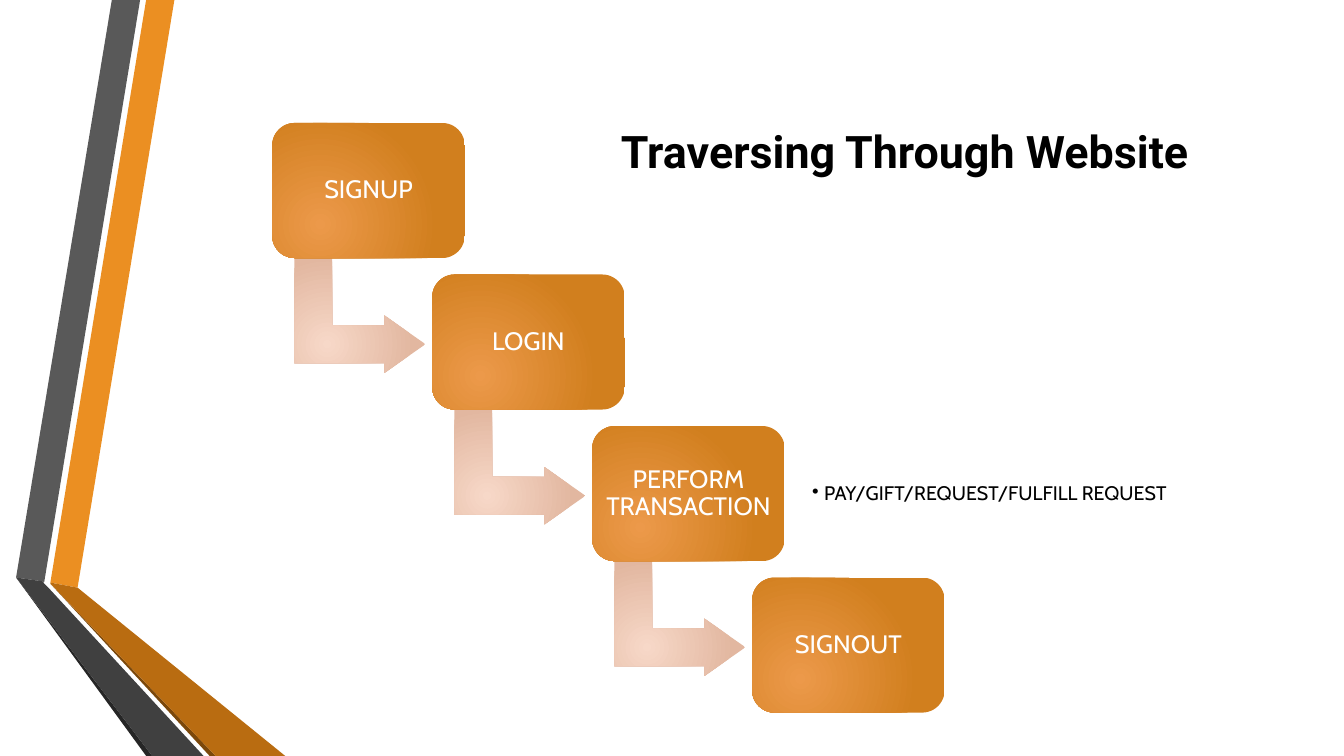
from lxml.etree import SubElement
from pptx import Presentation
from pptx.dml.color import RGBColor
from pptx.enum.shapes import MSO_SHAPE
from pptx.enum.text import MSO_ANCHOR, MSO_AUTO_SIZE, PP_ALIGN
from pptx.oxml.ns import qn
from pptx.util import Inches, Pt

ORANGE = RGBColor(0xEB, 0x8F, 0x22)
ORANGE_DARK = RGBColor(0xB9, 0x6C, 0x11)
BROWN = RGBColor(0x7B, 0x48, 0x0B)
GREY = RGBColor(0x59, 0x59, 0x59)
GREY_DARK = RGBColor(0x40, 0x40, 0x40)
CHARCOAL = RGBColor(0x26, 0x26, 0x26)
BLACK = RGBColor(0, 0, 0)
WHITE = RGBColor(0xFF, 0xFF, 0xFF)
STEP_GRADIENT = RGBColor(0xEC, 0x99, 0x4A), RGBColor(0xD1, 0x7F, 0x1E)
ARROW_GRADIENT = RGBColor(0xF7, 0xD8, 0xC8), RGBColor(0xE2, 0xB7, 0xA0)

STEPS = ["SIGNUP", "LOGIN", "PERFORM TRANSACTION", "SIGNOUT"]
NOTES = {2: "PAY/GIFT/REQUEST/FULFILL REQUEST"}

# Ribbon outlines, in inches from the corner of their region
RIBBONS = [
    (ORANGE, [(0.5, 5.78), (0.77, 5.83), (1.73, 0), (1.45, 0)]),
    (GREY, [(1.39, 0), (1.11, 0), (0.16, 5.73), (0.44, 5.77)]),
    (CHARCOAL, [(0.16, 5.73), (1.45, 7.5), (1.51, 7.5)]),
    (BROWN, [(0.5, 5.79), (2.08, 7.5), (2.14, 7.5)]),
    (ORANGE_DARK, [(0.5, 5.79), (2.14, 7.5), (2.83, 7.5), (0.77, 5.83), (0.5, 5.78)]),
    (GREY_DARK, [(2.02, 7.5), (0.48, 5.83), (0.43, 5.78), (0.44, 5.77),
                 (0.16, 5.73), (1.51, 7.5)]),
]


def clean(sp):
    sp.shadow.inherit = False
    sp.line.fill.background()


def fill_radial(sp, colors):
    """Fill with a circular gradient centred at the lower left."""
    clean(sp)
    sp.fill.gradient()
    for stop, color, position in zip(sp.fill.gradient_stops, colors, (0, 1)):
        stop.color.rgb = color
        stop.position = position
    grad = sp._element.spPr.find(qn("a:gradFill"))
    grad.set("rotWithShape", "0")
    grad.remove(grad.find(qn("a:lin")))
    circle = SubElement(grad, qn("a:path"), path="circle")
    SubElement(circle, qn("a:fillToRect"), l="50000", t="100000", r="100000", b="50000")


def write(sp, text, size, color, font="Cabin", inset=0.07):
    tf = sp.text_frame
    tf.word_wrap = True
    tf.vertical_anchor = MSO_ANCHOR.MIDDLE
    tf.margin_left = tf.margin_right = tf.margin_top = tf.margin_bottom = Inches(inset)
    tf.text = text
    p = tf.paragraphs[0]
    p.line_spacing = 0.9
    f = p.runs[0].font
    f.size, f.name, f.color.rgb = Pt(size), font, color
    return p


def draw_ribbons(s, left, top):
    for color, points in RIBBONS:
        corners = [(Inches(left + x), Inches(top + y)) for x, y in points]
        builder = s.shapes.build_freeform(*corners[0])
        builder.add_line_segments(corners[1:], close=True)
        sp = builder.convert_to_shape()
        clean(sp)
        sp.fill.solid()
        sp.fill.fore_color.rgb = color


def draw_arrow(s, x, y):
    sp = s.shapes.add_shape(MSO_SHAPE.BENT_UP_ARROW, Inches(x), Inches(y),
                            Inches(1.14), Inches(1.3))
    sp.rotation = 90
    for i, value in enumerate((0.328, 0.25, 0.358)):
        sp.adjustments[i] = value
    fill_radial(sp, ARROW_GRADIENT)


def draw_note(s, x, y, text):
    sp = s.shapes.add_textbox(Inches(x), Inches(y), Inches(3.79), Inches(1.08))
    pPr = write(sp, text, 14, BLACK)._p.get_or_add_pPr()
    pPr.set("marL", str(Inches(0.12)))
    pPr.set("indent", str(Inches(-0.12)))
    SubElement(pPr, qn("a:buChar"), char="•")


def draw_flow(s, left, top, width, height):
    """Staircase of steps running from corner to corner of the box."""
    step_w, step_h = 1.91, 1.34
    dx = (width - step_w) / (len(STEPS) - 1)
    dy = (height - step_h) / (len(STEPS) - 1)
    for i, label in enumerate(STEPS):
        x, y = left + i * dx, top + i * dy
        if i < len(STEPS) - 1:
            draw_arrow(s, x + 0.3, y + 1.26)
        sp = s.shapes.add_shape(MSO_SHAPE.ROUNDED_RECTANGLE, Inches(x), Inches(y),
                                Inches(step_w), Inches(step_h))
        sp.adjustments[0] = 0.167
        fill_radial(sp, STEP_GRADIENT)
        write(sp, label, 18, WHITE).alignment = PP_ALIGN.CENTER
        if i in NOTES:
            draw_note(s, x + step_w + 0.2, y + 0.14, NOTES[i])


def draw_title(s, left, top, width, height):
    sp = s.shapes.add_textbox(Inches(left), Inches(top), Inches(width), Inches(height))
    p = write(sp, "Traversing Through Website", 32, BLACK, "Roboto", 0.1)
    p.line_spacing = 1.0
    p.runs[0].font.bold = True
    tf = sp.text_frame
    tf.margin_top = tf.margin_bottom = Inches(0.05)
    tf.vertical_anchor = MSO_ANCHOR.TOP
    tf.auto_size = MSO_AUTO_SIZE.SHAPE_TO_FIT_TEXT


def main():
    prs = Presentation()
    prs.slide_width, prs.slide_height = Inches(13.33), Inches(7.5)
    s = prs.slides.add_slide(prs.slide_layouts[6])
    draw_ribbons(s, 0, 0)
    draw_flow(s, 2.7, 1.22, 6.67, 5.85)
    draw_title(s, 6.06, 1.18, 7.13, 0.64)
    prs.save("out.pptx")


if __name__ == "__main__":
    main()
